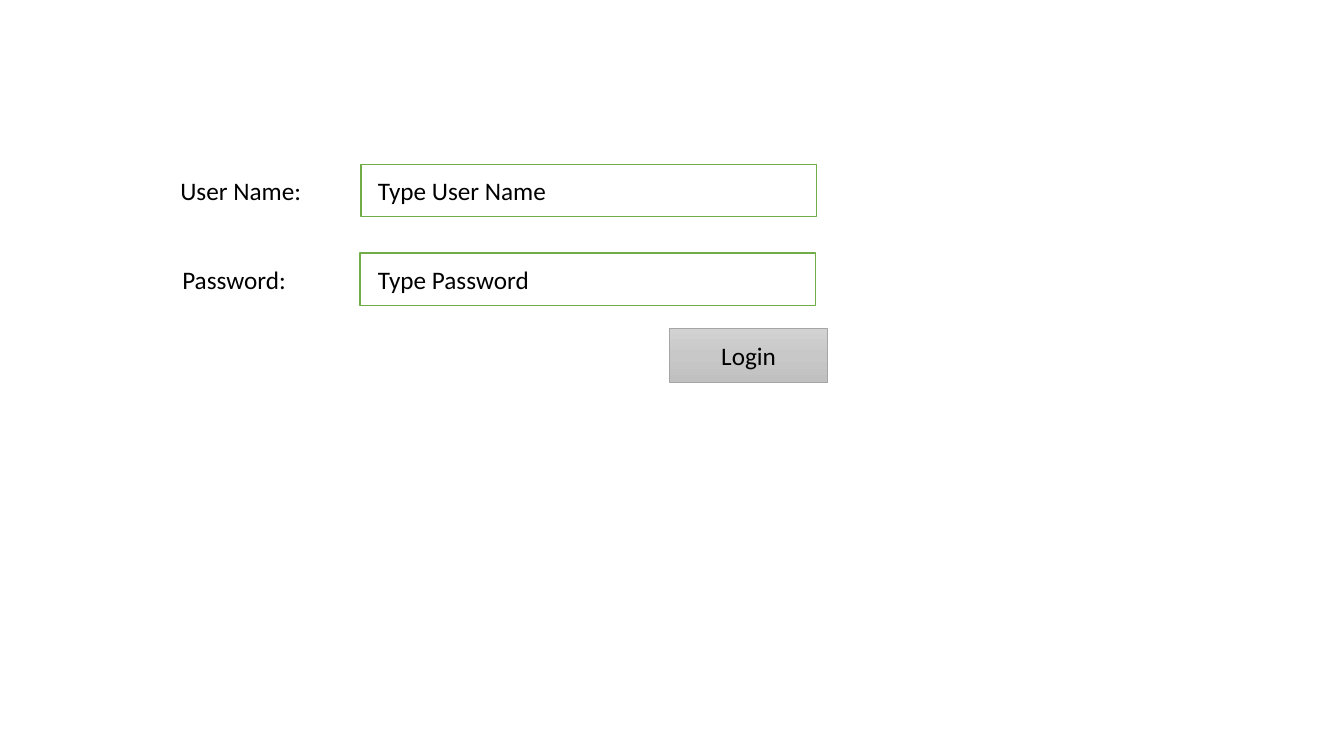
"""Build a login form slide with two labelled fields and a button."""
from copy import deepcopy

from pptx import Presentation
from pptx import util as u
from pptx.dml.color import RGBColor
from pptx.enum import shapes, text

PX = u.Inches(1) // 100
FIELD_WIDTH, FIELD_HEIGHT = 452, 52
BUTTON_STOPS = [(0, "D2D2D2"), (0.5, "C8C8C8"), (1, "C0C0C0")]


def px(*lengths):
    return [u.Emu(length * PX) for length in lengths]


def color(value):
    return RGBColor.from_string(value)


def write(frame, words):
    run = frame.paragraphs[0].add_run()
    run.text = words
    run.font.name = "Calibri"
    run.font.size = u.Pt(18)
    run.font.color.rgb = color("000000")


def add_box(slide, left, top, width, height, line_color, line_width):
    box = slide.shapes.add_shape(
        shapes.MSO_SHAPE.RECTANGLE, *px(left, top, width, height))
    box.shadow.inherit = False
    box.line.color.rgb = color(line_color)
    box.line.width = u.Pt(line_width)
    return box


def add_caption(slide, left, top, width, words):
    caption = slide.shapes.add_textbox(*px(left, top, width, 40))
    frame = caption.text_frame
    frame.word_wrap = True
    frame.auto_size = text.MSO_AUTO_SIZE.SHAPE_TO_FIT_TEXT
    write(frame, words)


def add_field(slide, left, top, label_left, label, prompt):
    field = add_box(slide, left, top, FIELD_WIDTH, FIELD_HEIGHT, "70AD47", 1)
    field.fill.solid()
    field.fill.fore_color.rgb = color("FFFFFF")
    add_caption(slide, label_left, top + 6, 170, label)
    add_caption(slide, 365, top + 6, 275, prompt)


def add_button(slide, left, top, width, height, words):
    button = add_box(slide, left, top, width, height, "A5A5A5", 0.5)
    button.fill.gradient()
    button.fill.gradient_angle = 270
    first = button.fill._fill._gradFill.gsLst[0]
    first.addnext(deepcopy(first))
    for stop, (position, shade) in zip(button.fill.gradient_stops, BUTTON_STOPS):
        stop.position = position
        stop.color.rgb = color(shade)
    frame = button.text_frame
    frame.vertical_anchor = text.MSO_ANCHOR.MIDDLE
    frame.paragraphs[0].alignment = text.PP_ALIGN.CENTER
    write(frame, words)


def main():
    deck = Presentation()
    deck.slide_width, deck.slide_height = px(1333, 750)
    slide = deck.slides.add_slide(deck.slide_layouts[6])
    add_field(slide, 358, 163, 169, "User Name:", "Type User Name")
    add_field(slide, 357, 251, 171, "Password:", "Type Password")
    add_button(slide, 664, 326, 157, 53, "Login")
    deck.save("out.pptx")


if __name__ == "__main__":
    main()
